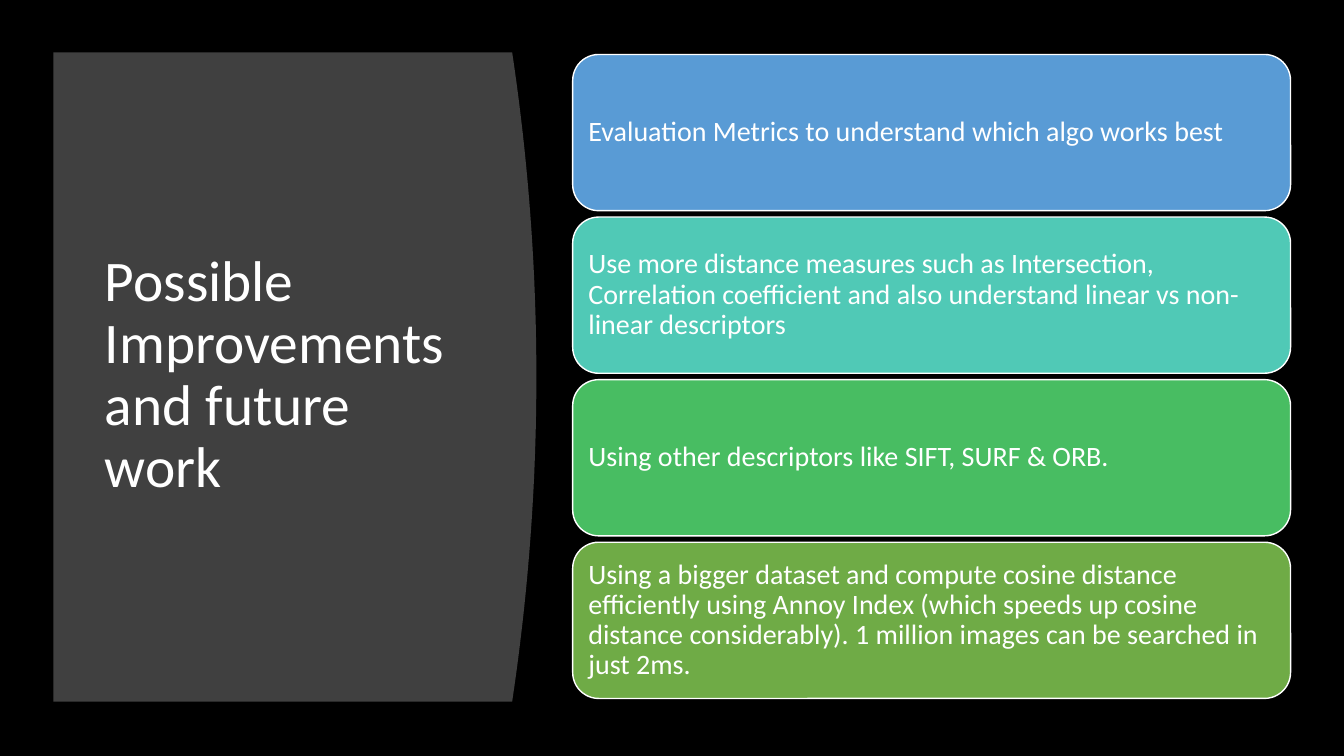
"""Build the slide on possible improvements and future work."""
from pptx import Presentation
from pptx.dml.color import RGBColor
from pptx.enum.shapes import MSO_SHAPE
from pptx.enum.text import MSO_ANCHOR, MSO_AUTO_SIZE, PP_ALIGN
from pptx.util import Inches, Pt

BLACK = RGBColor(0x00, 0x00, 0x00)
WHITE = RGBColor(0xFF, 0xFF, 0xFF)
GRAY = RGBColor(0x40, 0x40, 0x40)
BLUE = RGBColor(0x59, 0x9B, 0xD5)
TEAL = RGBColor(0x50, 0xC9, 0xB6)
GREEN = RGBColor(0x48, 0xBD, 0x62)
OLIVE = RGBColor(0x6F, 0xAB, 0x46)
FONT = "Calibri"

TITLE = ["Possible Improvements", "and future work"]
IDEAS = [
    ("Evaluation Metrics to understand which algo works best", BLUE),
    ("Use more distance measures such as Intersection, Correlation coefficient "
     "and also understand linear vs non-linear descriptors", TEAL),
    ("Using other descriptors like SIFT, SURF & ORB.", GREEN),
    ("Using a bigger dataset and compute cosine distance efficiently using "
     "Annoy Index (which speeds up cosine distance considerably). 1 million "
     "images can be searched in just 2ms.", OLIVE),
]

PANEL_LEFT, PANEL_TOP, PANEL_BOTTOM = 0.53, 0.52, 6.96
EDGE, BULGE, STEPS = 5.08, 0.24, 40
CARD_LEFT, CARD_TOP, CARD_W, CARD_H, CARD_PITCH = 5.68, 0.54, 7.12, 1.55, 1.613


def write(tf, lines, size):
    """Fill a text frame with left-aligned white paragraphs."""
    tf.word_wrap = True
    tf.auto_size = MSO_AUTO_SIZE.NONE
    tf.vertical_anchor = MSO_ANCHOR.MIDDLE
    for i, line in enumerate(lines):
        p = tf.add_paragraph() if i else tf.paragraphs[0]
        p.alignment = PP_ALIGN.LEFT
        p.line_spacing = 0.9
        p.space_before = Pt(0)
        r = p.add_run()
        r.text = line
        r.font.name = FONT
        r.font.size = Pt(size)
        r.font.color.rgb = WHITE


def add_panel(s):
    """Draw the gray panel whose right edge is a shallow parabola."""
    points = []
    for i in range(STEPS + 1):
        t = i / STEPS
        x = EDGE + BULGE * (1 - (2 * t - 1) ** 2)
        y = PANEL_TOP + t * (PANEL_BOTTOM - PANEL_TOP)
        points.append((Inches(x), Inches(y)))
    points.append((Inches(PANEL_LEFT), Inches(PANEL_BOTTOM)))
    outline = s.shapes.build_freeform(Inches(PANEL_LEFT), Inches(PANEL_TOP))
    outline.add_line_segments(points, close=True)
    panel = outline.convert_to_shape()
    panel.shadow.inherit = False
    panel.fill.solid()
    panel.fill.fore_color.rgb = GRAY
    panel.line.fill.background()
    return panel


def add_card(s, top, text, color):
    """Draw one rounded card with its idea."""
    card = s.shapes.add_shape(MSO_SHAPE.ROUNDED_RECTANGLE, Inches(CARD_LEFT),
                              Inches(top), Inches(CARD_W), Inches(CARD_H))
    card.shadow.inherit = False
    card.fill.solid()
    card.fill.fore_color.rgb = color
    card.line.color.rgb = WHITE
    card.line.width = Pt(1)
    tf = card.text_frame
    tf.margin_left = tf.margin_right = Inches(0.08)
    tf.margin_top = tf.margin_bottom = Inches(0.08)
    write(tf, [text], 20)


def main():
    """Lay out the slide and save it."""
    prs = Presentation()
    prs.slide_width, prs.slide_height = Inches(13.33), Inches(7.5)
    s = prs.slides.add_slide(prs.slide_layouts[5])
    s.background.fill.solid()
    s.background.fill.fore_color.rgb = BLACK

    title = s.shapes.title
    title.left, title.top = Inches(0.94), Inches(1.11)
    title.width, title.height = Inches(3.74), Inches(5.24)
    write(title.text_frame, TITLE, 41)
    title.element.addprevious(add_panel(s).element)

    for i, (text, color) in enumerate(IDEAS):
        add_card(s, CARD_TOP + i * CARD_PITCH, text, color)
    prs.save("out.pptx")


if __name__ == "__main__":
    main()
